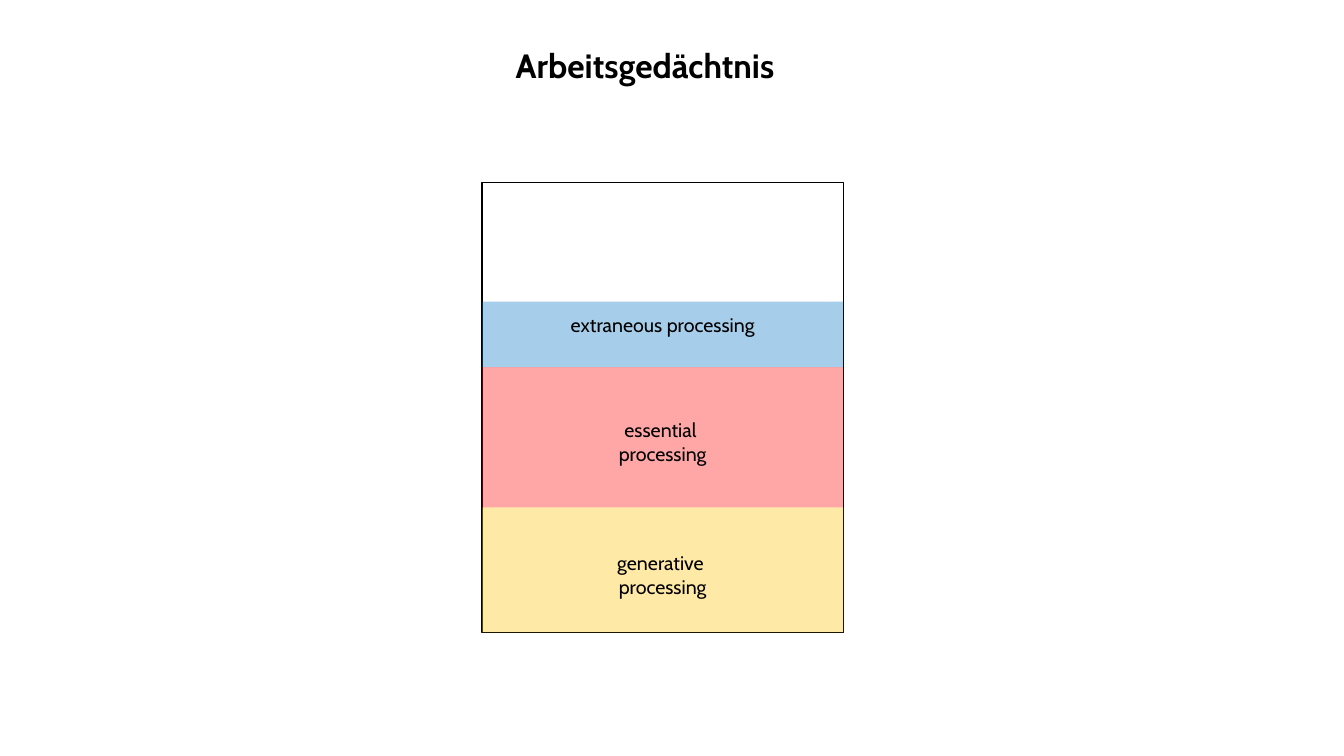
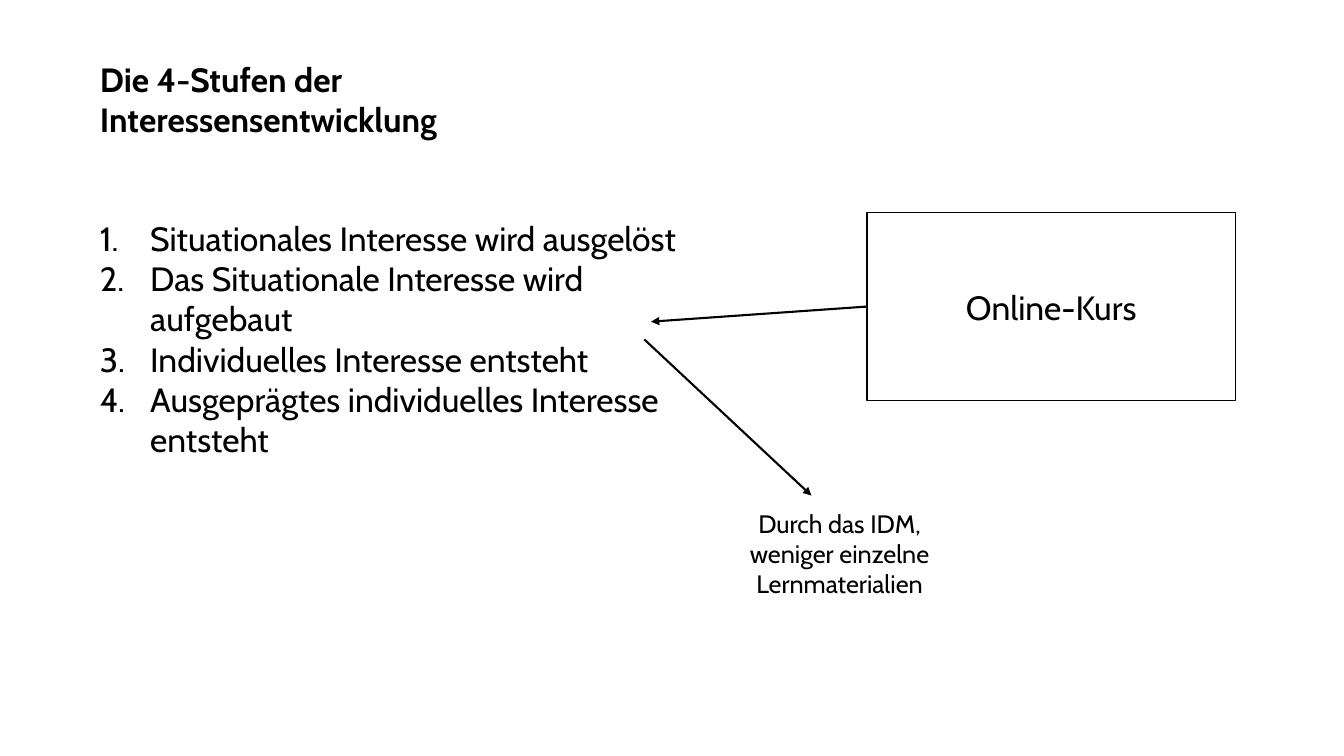
from dataclasses import dataclass

from lxml.etree import SubElement
from pptx import Presentation
from pptx.dml.color import RGBColor
from pptx.enum.shapes import MSO_CONNECTOR as Connector, MSO_SHAPE as Shape
from pptx.enum.text import MSO_ANCHOR as Anchor, MSO_AUTO_SIZE as AutoSize, PP_ALIGN as Align
from pptx.oxml.ns import qn
from pptx.util import Emu, Inches, Pt


@dataclass(frozen=True)
class Theme:
    font: str = "Cabin"
    ink: str = "000000"
    paper: str = "FFFFFF"
    extraneous: str = "0070C0"
    essential: str = "FF0000"
    generative: str = "FFC000"
    band_opacity: int = 35  # percent
    large: int = 24
    medium: int = 18
    small: int = 14
    outline: float = 1
    arrow: float = 1.5


THEME = Theme()
SLIDE_W, SLIDE_H = 12192000, 6858000
COLS, ROWS = 160, 90


# Grid and formatting helpers
def col(n):
    return Emu(round(n * SLIDE_W / COLS))


def row(n):
    return Emu(round(n * SLIDE_H / ROWS))


def cells(left, top, width, height):
    return col(left), row(top), col(width), row(height)


def rgb(code):
    return RGBColor.from_string(code)


def write(tf, text, size, align=Align.LEFT, anchor=Anchor.TOP, bold=False):
    tf.text = text
    tf.word_wrap = True
    tf.auto_size = AutoSize.NONE
    tf.vertical_anchor = anchor
    for p in tf.paragraphs:
        p.alignment = align
        for r in p.runs:
            r.font.name = THEME.font
            r.font.size = Pt(size)
            r.font.bold = bold
            r.font.color.rgb = rgb(THEME.ink)


# Kinds of element
def add_titled_slide(prs, title, *place):
    s = prs.slides.add_slide(prs.slide_layouts[5])
    sp = s.shapes.title
    sp.left, sp.top, sp.width, sp.height = cells(*place)
    write(sp.text_frame, title, THEME.large, bold=True)
    return s


def add_text(s, text, size, *place, align=Align.CENTER):
    sp = s.shapes.add_textbox(*cells(*place))
    write(sp.text_frame, text, size, align)
    return sp


def add_box(s, *place, fill=None, opacity=100, outlined=True):
    sp = s.shapes.add_shape(Shape.RECTANGLE, *cells(*place))
    sp.shadow.inherit = False
    if fill:
        sp.fill.solid()
        sp.fill.fore_color.rgb = rgb(fill)
        if opacity < 100:
            color = sp.fill._xPr.find(qn("a:solidFill"))[0]
            SubElement(color, qn("a:alpha")).set("val", str(opacity * 1000))
    else:
        sp.fill.background()
    if outlined:
        sp.line.color.rgb = rgb(THEME.ink)
        sp.line.width = Pt(THEME.outline)
    else:
        sp.line.fill.background()
    return sp


def add_arrow(s, x1, y1, x2, y2):
    line = s.shapes.add_connector(Connector.STRAIGHT, col(x1), row(y1), col(x2), row(y2))
    line.line.color.rgb = rgb(THEME.ink)
    line.line.width = Pt(THEME.arrow)
    SubElement(line.line._get_or_add_ln(), qn("a:tailEnd")).set("type", "triangle")
    SubElement(line._element.spPr, qn("a:effectLst"))
    return line


def add_numbered_list(s, items, *place):
    sp = add_text(s, "\n".join(items), THEME.large, *place, align=Align.LEFT)
    indent = Inches(0.5)
    for p in sp.text_frame.paragraphs:
        pPr = p._p.get_or_add_pPr()
        pPr.set("marL", str(indent))
        pPr.set("indent", str(-indent))
        SubElement(pPr, qn("a:buFont")).set("typeface", "+mj-lt")
        SubElement(pPr, qn("a:buAutoNum")).set("type", "arabicPeriod")


# Slides
def working_memory(prs):
    s = add_titled_slide(prs, "Arbeitsgedächtnis", 60.2, 4.8, 37.3, 6)
    left, top, width, height = 57.4, 21.7, 43, 53.6
    label_w, label_h = 25.9, 6.8
    add_box(s, left, top, width, height)

    # Bands stack upward: label, colour, height, label offset
    bands = [
        ("generative \nprocessing", THEME.generative, 14.9, 4.6),
        ("essential \nprocessing", THEME.essential, 16.7, 5.5),
        ("extraneous processing", THEME.extraneous, 7.8, 0.7),
    ]
    y = top + height
    for text, color, band_h, offset in bands:
        y -= band_h
        add_box(s, left, y, width, band_h, fill=color,
                opacity=THEME.band_opacity, outlined=False)
        add_text(s, text, THEME.small, left + (width - label_w) / 2, y + offset,
                 label_w, label_h)


def interest_stages(prs):
    margin, body_top = 10.7, 25.3
    s = add_titled_slide(prs, "Die 4-Stufen der Interessensentwicklung",
                         margin, 6.4, 58.1, 10.9)
    add_numbered_list(s, [
        "Situationales Interesse wird ausgelöst",
        "Das Situationale Interesse wird aufgebaut",
        "Individuelles Interesse entsteht",
        "Ausgeprägtes individuelles Interesse entsteht",
    ], margin, body_top, 72.1, 35.2)

    # Course box points to the stages
    course_x, course_h = 103.2, 22.4
    course = add_box(s, course_x, body_top, 43.9, course_h, fill=THEME.paper)
    write(course.text_frame, "Online-Kurs", THEME.large, Align.CENTER, Anchor.MIDDLE)
    arrow = add_arrow(s, course_x, body_top + course_h / 2, 77.5, 38.3)
    arrow.begin_connect(course, 1)

    # Stages point to the explanation
    add_text(s, "Durch das IDM, weniger einzelne Lernmaterialien", THEME.medium,
             87, 59.9, 25.9, 12.1)
    add_arrow(s, 76.7, 40.4, 96.6, 59)


def main():
    prs = Presentation()
    prs.slide_width, prs.slide_height = SLIDE_W, SLIDE_H
    working_memory(prs)
    interest_stages(prs)
    prs.save("out.pptx")


main()
